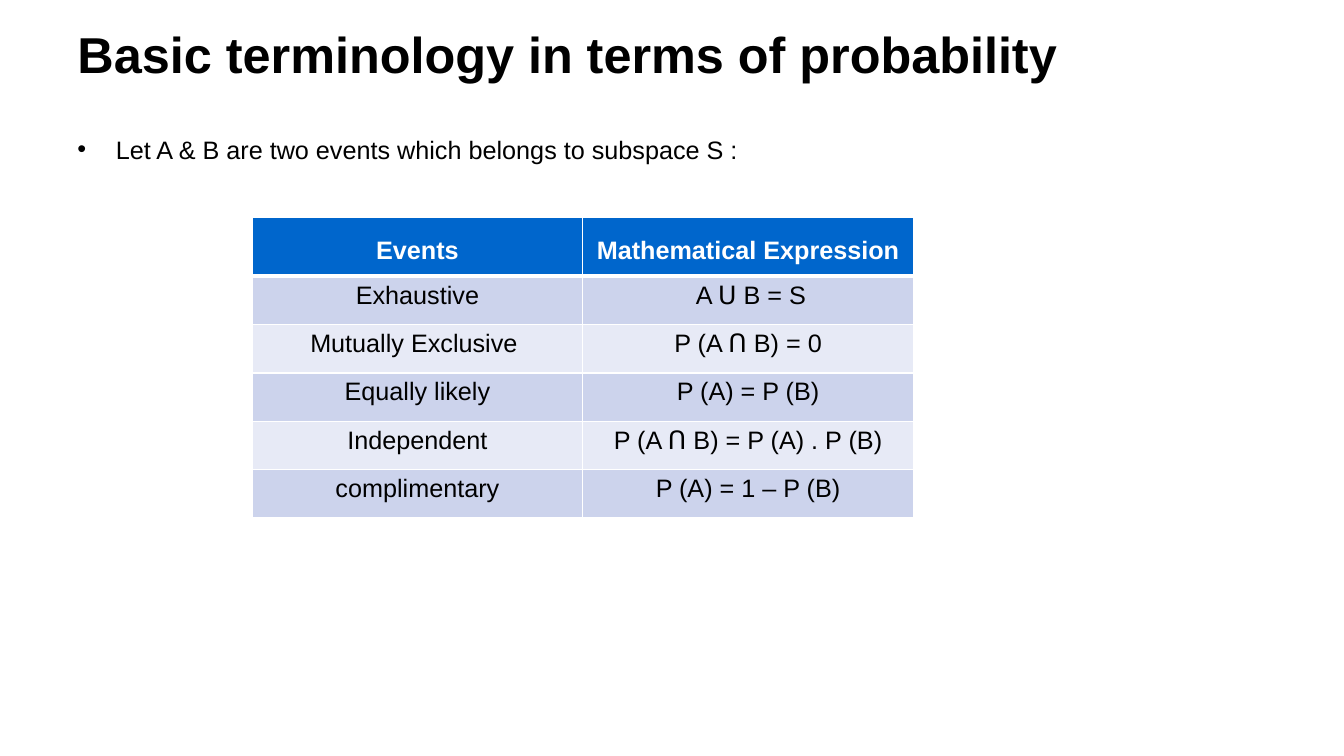
import pptx
import pptx.dml.color
import pptx.enum.text
import pptx.oxml
import pptx.oxml.ns
import pptx.util
from lxml import etree

Inches = pptx.util.Inches
Pt = pptx.util.Pt
ANCHOR = pptx.enum.text.MSO_ANCHOR
ALIGN = pptx.enum.text.PP_ALIGN

BLACK, WHITE = "000000", "FFFFFF"
HEADER_FILL = "0066CC"
BAND_FILLS = ("CCD3EC", "E7EAF6")


def rgb(value):
    return pptx.dml.color.RGBColor.from_string(value)


def add_element(parent, tag, **attrs):
    return etree.SubElement(parent, pptx.oxml.ns.qn(tag), attrs)


class SlideBuilder:
    font = "Arial"
    body_size = 18

    def __init__(self, slide):
        self.s = slide

    def run(self, p, text, size=body_size, color=BLACK, bold=False):
        r = p.add_run()
        r.text = text
        r.font.name = self.font
        r.font.size = Pt(size)
        r.font.bold = bold
        r.font.color.rgb = rgb(color)

    def text(self, left, top, width, height, text, bullet=False,
             anchor=ANCHOR.TOP, **style):
        sp = self.s.shapes.add_textbox(
            Inches(left), Inches(top), Inches(width), Inches(height))
        tf = sp.text_frame
        tf.word_wrap = True
        tf.vertical_anchor = anchor
        p = tf.paragraphs[0]
        if bullet:
            pPr = p._p.get_or_add_pPr()
            pPr.set("marL", str(Inches(0.38)))
            pPr.set("indent", str(-Inches(0.38)))
            add_element(pPr, "a:buFont", typeface=self.font)
            add_element(pPr, "a:buChar", char="•")
        self.run(p, text, **style)

    def borders(self, cell, bottom=1):
        tcPr = cell._tc.get_or_add_tcPr()
        for side, width in (("L", 1), ("R", 1), ("T", 1), ("B", bottom)):
            ln = add_element(tcPr, "a:ln" + side, w=str(Pt(width)))
            fill = add_element(ln, "a:solidFill")
            add_element(fill, "a:srgbClr", val=WHITE)

    def table(self, left, top, col_width, row_heights, rows):
        cols = len(rows[0])
        frame = self.s.shapes.add_table(
            len(rows), cols, Inches(left), Inches(top),
            Inches(col_width * cols), Inches(sum(row_heights)))
        table = frame.table
        for col in table.columns:
            col.width = Inches(col_width)
        for i, (height, values) in enumerate(zip(row_heights, rows)):
            table.rows[i].height = Inches(height)
            header = i == 0
            for j, value in enumerate(values):
                cell = table.cell(i, j)
                # The rule under the header is heavier
                self.borders(cell, bottom=3 if header else 1)
                cell.fill.solid()
                cell.fill.fore_color.rgb = rgb(
                    HEADER_FILL if header else BAND_FILLS[(i - 1) % 2])
                p = cell.text_frame.paragraphs[0]
                p.alignment = ALIGN.CENTER
                if header:
                    p.line_spacing = 1.5
                self.run(p, value, color=WHITE if header else BLACK,
                         bold=header)


def main():
    prs = pptx.Presentation()
    prs.slide_width = Inches(13.33)
    prs.slide_height = Inches(7.5)
    s = SlideBuilder(prs.slides.add_slide(prs.slide_layouts[6]))

    # Title
    s.text(0.67, 0.21, 12, 0.64, "Basic terminology in terms of probability",
           anchor=ANCHOR.MIDDLE, size=36, bold=True)

    # Introductory bullet
    s.text(0.67, 1.28, 12, 5.42,
           "Let A & B are two events which belongs to subspace S :",
           bullet=True)

    # Events and their expressions
    rows = [
        ("Events", "Mathematical Expression"),
        ("Exhaustive", " A Ս B = S"),
        ("Mutually Exclusive ", "P (A Ո B) = 0"),
        ("Equally likely", "P (A) = P (B)"),
        ("Independent", "P (A Ո B) = P (A) . P (B)"),
        ("complimentary", "P (A) = 1 – P (B)"),
    ]
    s.table(2.5, 2.16, 3.28, [0.58] + [0.48] * (len(rows) - 1), rows)

    prs.save("out.pptx")


if __name__ == "__main__":
    main()
